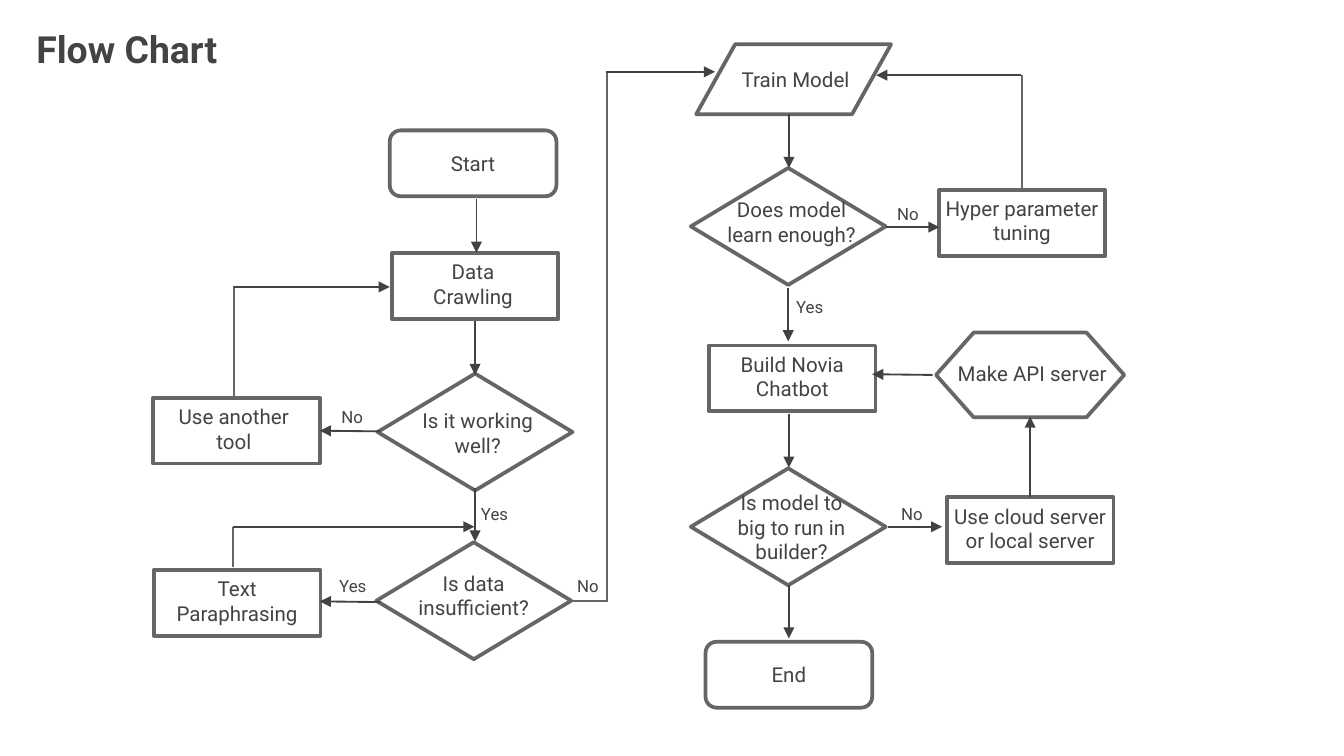
from lxml import etree
from pptx import Presentation
from pptx.dml.color import RGBColor
from pptx.enum.shapes import MSO_CONNECTOR as Link, MSO_SHAPE as Form
from pptx.enum.text import MSO_ANCHOR as Anchor, MSO_AUTO_SIZE as Fit, PP_ALIGN as Align
from pptx.oxml.ns import qn
from pptx.util import Inches, Pt

# Wide slide, 16 to 9, on a grid of 100 columns
deck = Presentation()
deck.slide_width = Inches(10)
deck.slide_height = Inches(10 * 9 / 16)
cell = deck.slide_width / 100
slide = deck.slides.add_slide(deck.slide_layouts[5])


def ink(color, tone):
    color.rgb = RGBColor.from_string(tone)


def write(frame, text, size, align=Align.CENTER, bold=False):
    frame.word_wrap = True
    frame.auto_size = Fit.NONE
    frame.vertical_anchor = Anchor.MIDDLE
    frame.margin_left = frame.margin_right = Inches(0.1)
    frame.margin_top = frame.margin_bottom = Inches(0.1)
    para = frame.paragraphs[0]
    para.alignment = align
    run = para.add_run()
    run.text = text
    run.font.name, run.font.size, run.font.bold = "Roboto", Pt(size), bold
    ink(run.font.color, "434343")


# Title
title = slide.shapes.title
title.left, title.top, title.width, title.height = [
    round(n * cell) for n in (1.7, 1.6, 23.7, 4)]
write(title.text_frame, "Flow Chart", 20, Align.LEFT, True)

# Steps: form, width, height, then left, top and inner text of each
steps = [
    (Form.FLOWCHART_ALTERNATE_PROCESS, 12.4, 4.9,
     [(29, 9.7, "Start"), (52.5, 47.75, "End")]),
    (Form.RECTANGLE, 12.4, 4.9,
     [(29.15, 18.85, ""), (11.4, 29.6, ""), (11.45, 42.4, ""),
      (69.85, 14.15, ""), (52.75, 25.7, ""), (70.45, 37, "")]),
    (Form.FLOWCHART_DECISION, 14.5, 8.7,
     [(28.1, 27.8, ""), (28, 40.35, ""), (51.4, 12.5, ""), (51.4, 34.85, "")]),
    (Form.FLOWCHART_DATA, 14.5, 5.2, [(51.8, 3.3, "")]),
    (Form.FLOWCHART_PREPARATION, 14, 6.3, [(69.65, 24.75, "")]),
]
for form, wide, high, spots in steps:
    for left, top, text in spots:
        box = slide.shapes.add_shape(
            form, *[round(n * cell) for n in (left, top, wide, high)])
        box.shadow.inherit = False
        box.fill.background()
        ink(box.line.color, "666666")
        box.line.width = Pt(2)
        if text:
            write(box.text_frame, text, 11)

# Links: start, end, arrowhead
links = [
    # Crawling and data checks
    (35.45, 14.8, 35.45, 18.8, True),
    (35.35, 23.9, 35.35, 27.9, True),
    (28.3, 32.1, 23.8, 32.05, True),
    (17.4, 29.5, 17.4, 21.3, False),
    (17.4, 21.35, 29, 21.35, True),
    (35.35, 36.3, 35.35, 40.3, True),
    (28.3, 44.8, 23.8, 44.75, True),
    (17.35, 42.2, 17.35, 39.2, False),
    (17.3, 39.2, 35.3, 39.2, True),
    # Over to training
    (42.5, 44.7, 45.1, 44.7, False),
    (45.15, 44.8, 45.15, 5.3, False),
    (45.1, 5.35, 53.2, 5.35, True),
    # Training and tuning
    (58.7, 8.5, 58.7, 12.5, True),
    (65.9, 16.9, 69.9, 16.9, True),
    (76.05, 14.1, 76.05, 5.6, False),
    (76, 5.6, 65.2, 5.6, True),
    # Chatbot and server
    (58.65, 21.4, 58.65, 25.4, True),
    (58.7, 30.8, 58.7, 34.8, True),
    (66.1, 39.2, 70.1, 39.2, True),
    (76.65, 37, 76.65, 31, True),
    (69.4, 27.9, 64.9, 27.85, True),
    (58.7, 43.5, 58.7, 47.5, True),
]
for *ends, head in links:
    link = slide.shapes.add_connector(
        Link.STRAIGHT, *[round(n * cell) for n in ends])
    ink(link.line.color, "424242" if head else "666666")
    link.line.width = Pt(1)
    if head:
        etree.SubElement(link.line._get_or_add_ln(), qn("a:tailEnd"), type="triangle")
    etree.SubElement(link._element.spPr, qn("a:effectLst"))

# Labels: height and text size, then left, top, width and text of each
labels = [
    (5.2, 11, [
        (31.05, 18.5, 8.3, "Data Crawling"),
        (29.85, 29.6, 11.4, "Is it working well?"),
        (12.05, 29.3, 10.7, "Use another tool"),
        (29.55, 41.7, 11.4, "Is data insufficient?"),
        (11.8, 42.1, 11.7, "Text Paraphrasing"),
        (53.85, 3.3, 10.7, "Train Model"),
        (52.8, 13.9, 12.2, "Does model learn enough?"),
        (69.1, 13.8, 13.9, "Hyper parameter tuning"),
        (52, 25.4, 13.9, "Build Novia Chatbot"),
        (53.2, 36.6, 11.4, "Is model to big to run in builder?"),
        (69.7, 36.7, 13.9, "Use cloud server or local server"),
        (69.85, 25.15, 13.9, "Make API server"),
    ]),
    (2.4, 9, [
        (22.85, 29.8, 6.7, "No"),
        (33.45, 37.05, 6.7, "Yes"),
        (40.4, 42.4, 6.7, "No"),
        (22.9, 42.4, 6.7, "Yes"),
        (56.9, 21.6, 6.7, "Yes"),
        (64.2, 14.7, 6.7, "No"),
        (64.5, 37.05, 6.7, "No"),
    ]),
]
for high, size, spots in labels:
    for left, top, wide, text in spots:
        note = slide.shapes.add_textbox(
            *[round(n * cell) for n in (left, top, wide, high)])
        write(note.text_frame, text, size)

deck.save("out.pptx")
